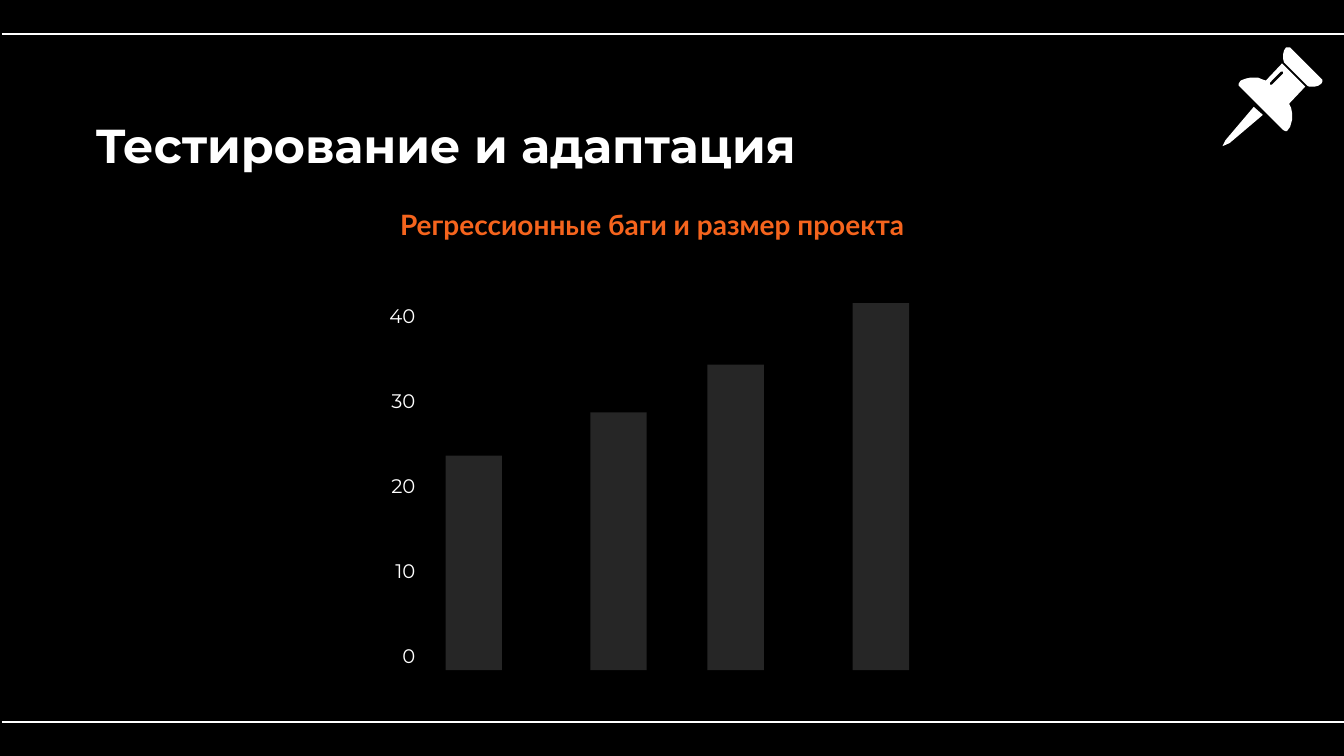
import pptx
import pptx.util
import pptx.dml.color
import pptx.enum.shapes
import pptx.enum.text
import lxml.etree

Cm = pptx.util.Cm
Pt = pptx.util.Pt
RGB = pptx.dml.color.RGBColor.from_string
ALIGN = pptx.enum.text.PP_ALIGN
ANCHOR = pptx.enum.text.MSO_ANCHOR
RECTANGLE = pptx.enum.shapes.MSO_SHAPE.RECTANGLE

COLORS = {"black": "000000", "white": "FFFFFF", "bar": "262626", "orange": "F5641D"}

deck = pptx.Presentation()
deck.slide_width = Cm(33.87)
deck.slide_height = Cm(19.05)
slide = deck.slides.add_slide(deck.slide_layouts[6])


def paint(shape, color):
    shape.shadow.inherit = False
    shape.fill.solid()
    shape.fill.fore_color.rgb = RGB(COLORS[color])
    shape.line.fill.background()


def write(box, lines, size, font, color, bold, align, spacing, gap=0, inset=(0, 0), anchor=ANCHOR.TOP):
    frame = slide.shapes.add_textbox(*[Cm(length) for length in box]).text_frame
    frame.word_wrap = True
    frame.vertical_anchor = anchor
    frame.margin_left = frame.margin_right = Cm(inset[0])
    frame.margin_top = frame.margin_bottom = Cm(inset[1])
    for index, line in enumerate(lines):
        paragraph = frame.add_paragraph() if index else frame.paragraphs[0]
        paragraph.alignment = align
        paragraph.line_spacing = spacing
        paragraph.space_before = Pt(gap if index else 0)
        run = paragraph.add_run()
        run.text = line
        run.font.size = Pt(size)
        run.font.name = font
        run.font.bold = bold
        run.font.color.rgb = RGB(COLORS[color])


backdrop = slide.shapes.add_shape(RECTANGLE, 0, 0, deck.slide_width, deck.slide_height)
paint(backdrop, "black")

write((2.16, 2.95, 18.54, 1.57), ["Тестирование и адаптация"], 34, "Montserrat", "white",
      True, ALIGN.LEFT, 0.9, inset=(0.25, 0.13), anchor=ANCHOR.BOTTOM)

for rule_y in (0.85, 18.2):
    rule = slide.shapes.add_connector(pptx.enum.shapes.MSO_CONNECTOR.STRAIGHT,
                                      Cm(0.05), Cm(rule_y), deck.slide_width, Cm(rule_y))
    rule.line.color.rgb = RGB(COLORS["white"])
    rule.line.width = Pt(1.5)
    lxml.etree.SubElement(rule._element.spPr, pptx.oxml.ns.qn("a:effectLst"))

pin_needle = [[(1244, 106), (1216, 139), (1213, 145), (1220, 142), (1253, 114)]]
pin_head = [[(1278, 47), (1276, 47), (1274, 50), (1273, 54), (1273, 58), (1274, 62),
             (1297, 85), (1299, 86), (1304, 86), (1308, 85), (1311, 83), (1312, 81),
             (1312, 79), (1311, 78), (1280, 47)]]
pin_body = [
    [(1272, 63), (1256, 80), (1253, 79), (1248, 77), (1241, 77), (1236, 78), (1231, 80),
     (1229, 83), (1229, 85), (1230, 86), (1273, 129), (1275, 130), (1277, 130),
     (1280, 126), (1282, 119), (1282, 112), (1281, 107), (1279, 103), (1295, 86)],
    [(1272, 71), (1273, 71), (1273, 73), (1262, 84), (1260, 84), (1260, 82), (1271, 71)],
]
for pin_part in (pin_needle, pin_head, pin_body):
    outline = slide.shapes.build_freeform(*pin_part[0][0], scale=Cm(0.0254))
    outline.add_line_segments(pin_part[0][1:])
    for cutout in pin_part[1:]:
        outline.move_to(*cutout[0])
        outline.add_line_segments(cutout[1:])
    paint(outline.convert_to_shape(), "white")

axis_labels = [str(value) for value in range(40, -1, -10)]
write((8.74, 7.65, 1.73, 8.41), axis_labels, 14, "Montserrat", "white",
      False, ALIGN.RIGHT, 1.0, gap=44)

baseline = 16.89
for bar_left, bar_height in ((11.23, 5.41), (14.88, 6.5), (17.83, 7.7), (21.49, 9.25)):
    bar = slide.shapes.add_shape(RECTANGLE, Cm(bar_left), Cm(baseline - bar_height),
                                 Cm(1.42), Cm(bar_height))
    paint(bar, "bar")

write((7.65, 5.11, 17.58, 0.97), ["Регрессионные баги и размер проекта"], 20, "Lato", "orange",
      True, ALIGN.CENTER, 1.13)

deck.save("out.pptx")
